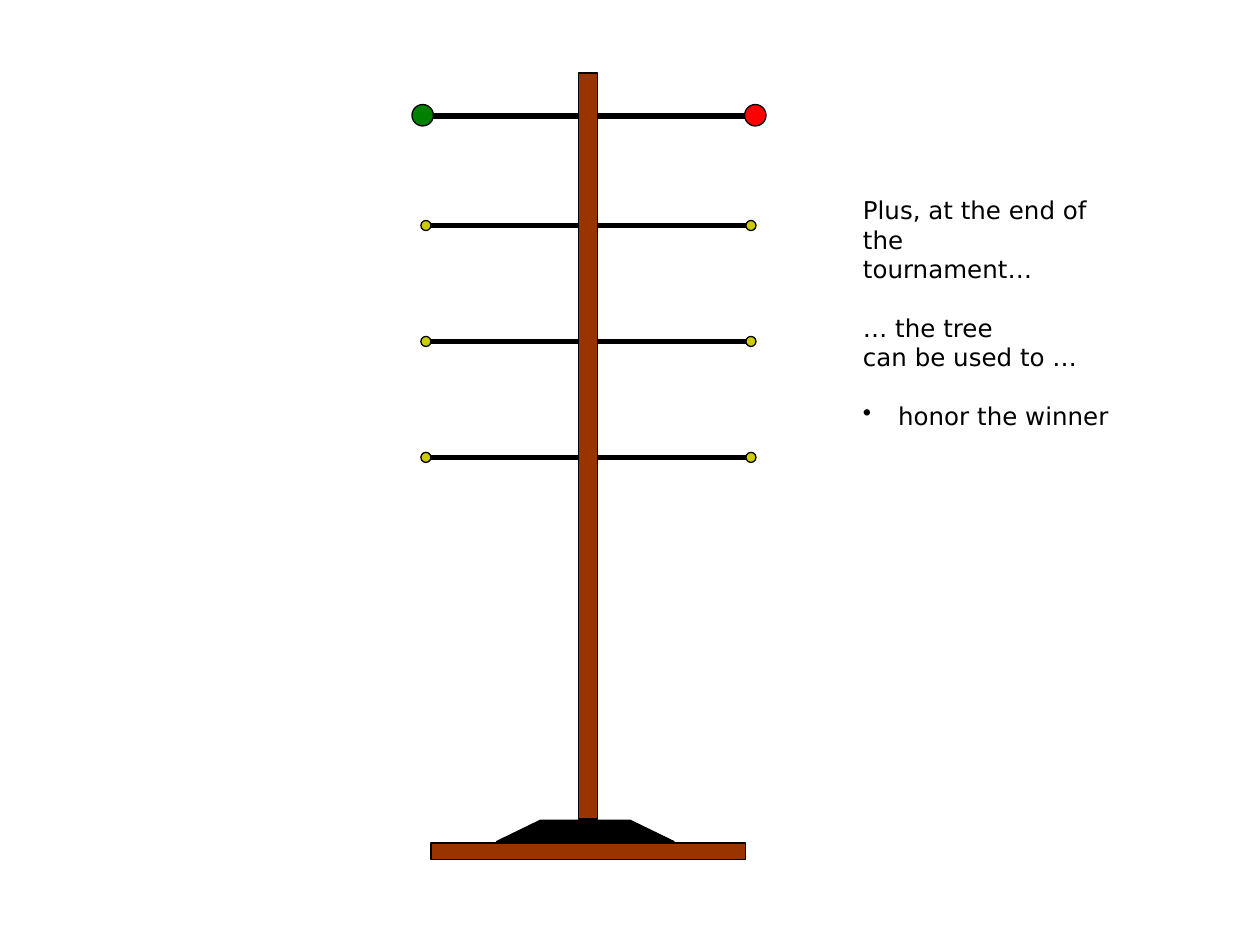
from lxml import etree
from pptx import Presentation
from pptx.dml.color import RGBColor
from pptx.enum.shapes import MSO_CONNECTOR, MSO_SHAPE
from pptx.oxml.ns import qn
from pptx.util import Inches, Pt

RECT, OVAL = MSO_SHAPE.RECTANGLE, MSO_SHAPE.OVAL
STRAIGHT = MSO_CONNECTOR.STRAIGHT
COLORS = {"wood": "993300", "black": "000000", "knob": "CCCC00",
          "green": "008000", "red": "FF0000"}
FONT = {"name": "DejaVu Sans", "size": Pt(14)}
LINE_PITCH = Pt(16.8)
INDENT = Inches(0.28)


def rgb(name):
    return RGBColor.from_string(COLORS[name])


def paint(s, fill):
    s.shadow.inherit = False
    s.fill.solid()
    s.fill.fore_color.rgb = rgb(fill)
    s.line.color.rgb = rgb("black")
    s.line.width = Pt(0.74)


def add_part(shapes, kind, x, y, w, h, fill):
    paint(shapes.add_shape(kind, *map(Inches, (x, y, w, h))), fill)


def add_branch(shapes, x, y, length, knob=0.08):
    """A bar with a small knob at each end, kept as one group."""
    branch = shapes.add_group_shape().shapes
    bar = branch.add_connector(STRAIGHT, *map(Inches, (x, y, x + length, y)))
    bar.line.color.rgb = rgb("black")
    bar.line.width = Pt(3)
    etree.SubElement(bar._element.spPr, qn("a:effectLst"))
    for knob_x in (x + length, x - knob):
        add_part(branch, OVAL, knob_x, y - knob / 2, knob, knob, "knob")


def add_tree(shapes, x, y, w, h):
    # Base and foot
    add_part(shapes, RECT, x, y + h - 0.13, w, 0.13, "wood")
    foot_x, foot_y = x + 0.52, y + h - 0.14
    foot = shapes.build_freeform(Inches(foot_x), Inches(foot_y))
    foot.add_line_segments([(Inches(foot_x + dx), Inches(foot_y + dy))
                            for dx, dy in ((1.41, 0), (1.06, -0.17), (0.35, -0.17))])
    paint(foot.convert_to_shape(), "black")

    # Branches
    for dy in (0.34, 1.21, 2.13, 3.05):
        add_branch(shapes, x, y + dy, w)

    # Trunk and winner lights
    add_part(shapes, RECT, x + w / 2 - 0.08, y, 0.15, 5.92, "wood")
    for dx, fill in ((-0.15, "green"), (w - 0.01, "red")):
        add_part(shapes, OVAL, x + dx, y + 0.25, 0.17, 0.17, fill)


def add_message(shapes, x, y, w, h):
    tf = shapes.add_textbox(*map(Inches, (x, y, w, h))).text_frame
    tf.word_wrap = True
    # Text, whether a gap comes before it, whether it has a bullet
    lines = [("Plus, at the end of the", False, False),
             ("tournament…", False, False),
             ("… the tree", True, False),
             ("can be used to …", False, False),
             ("honor the winner", True, True)]
    for i, (text, gap, bullet) in enumerate(lines):
        p = tf.add_paragraph() if i else tf.paragraphs[0]
        p.line_spacing = LINE_PITCH
        p.space_before = LINE_PITCH if gap else Pt(0)
        r = p.add_run()
        r.text = text
        for key, value in FONT.items():
            setattr(r.font, key, value)
        r.font.color.rgb = rgb("black")
        if bullet:
            pPr = p._p.get_or_add_pPr()
            pPr.set("marL", str(INDENT))
            pPr.set("indent", str(-INDENT))
            etree.SubElement(pPr, qn("a:buChar")).set("char", "•")


prs = Presentation()
prs.slide_width, prs.slide_height = Inches(10), Inches(7.5)
shapes = prs.slides.add_slide(prs.slide_layouts[6]).shapes
add_tree(shapes, 3.42, 0.58, 2.5, 6.24)
add_message(shapes, 6.75, 1.5, 2.25, 1.97)
prs.save("out.pptx")
